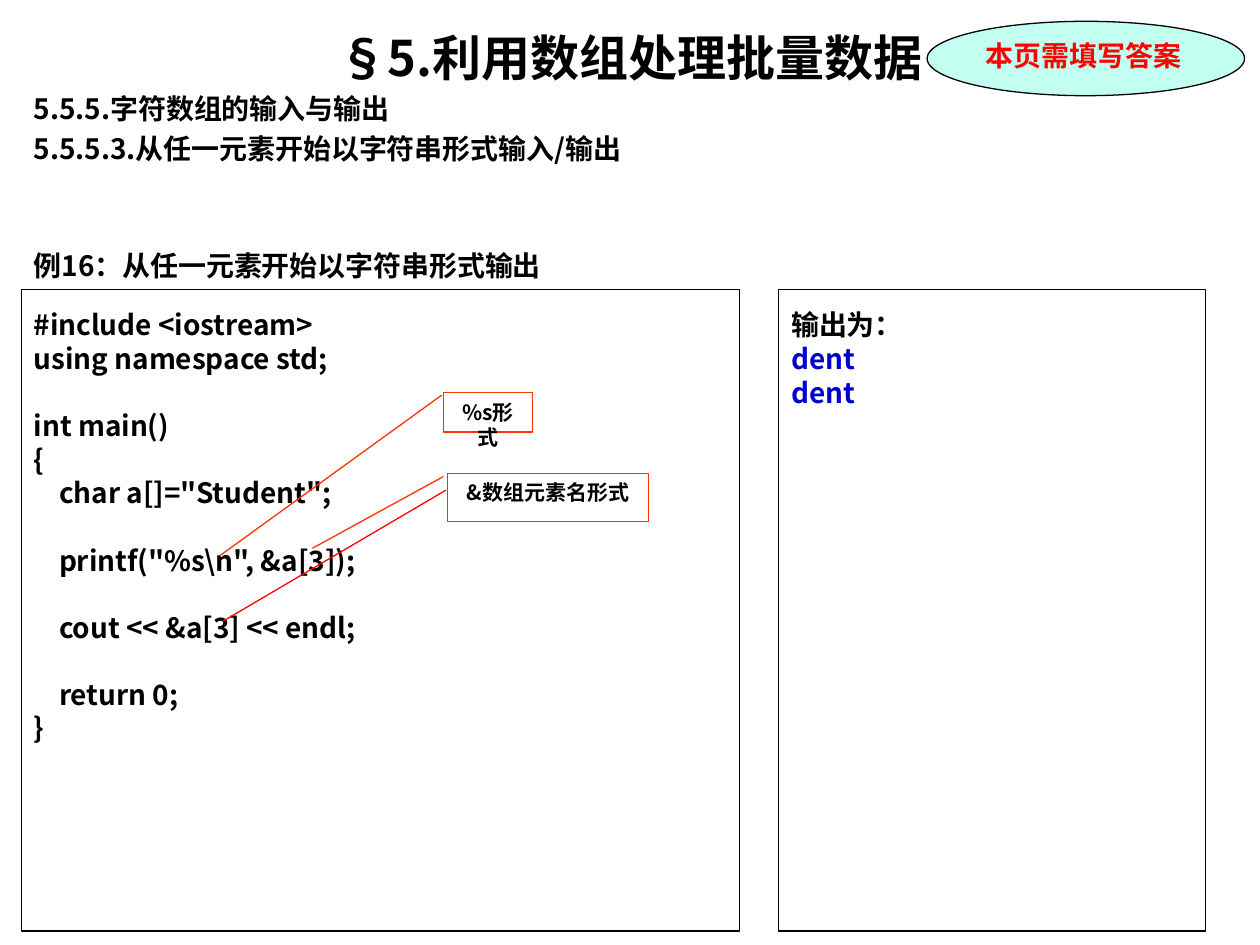
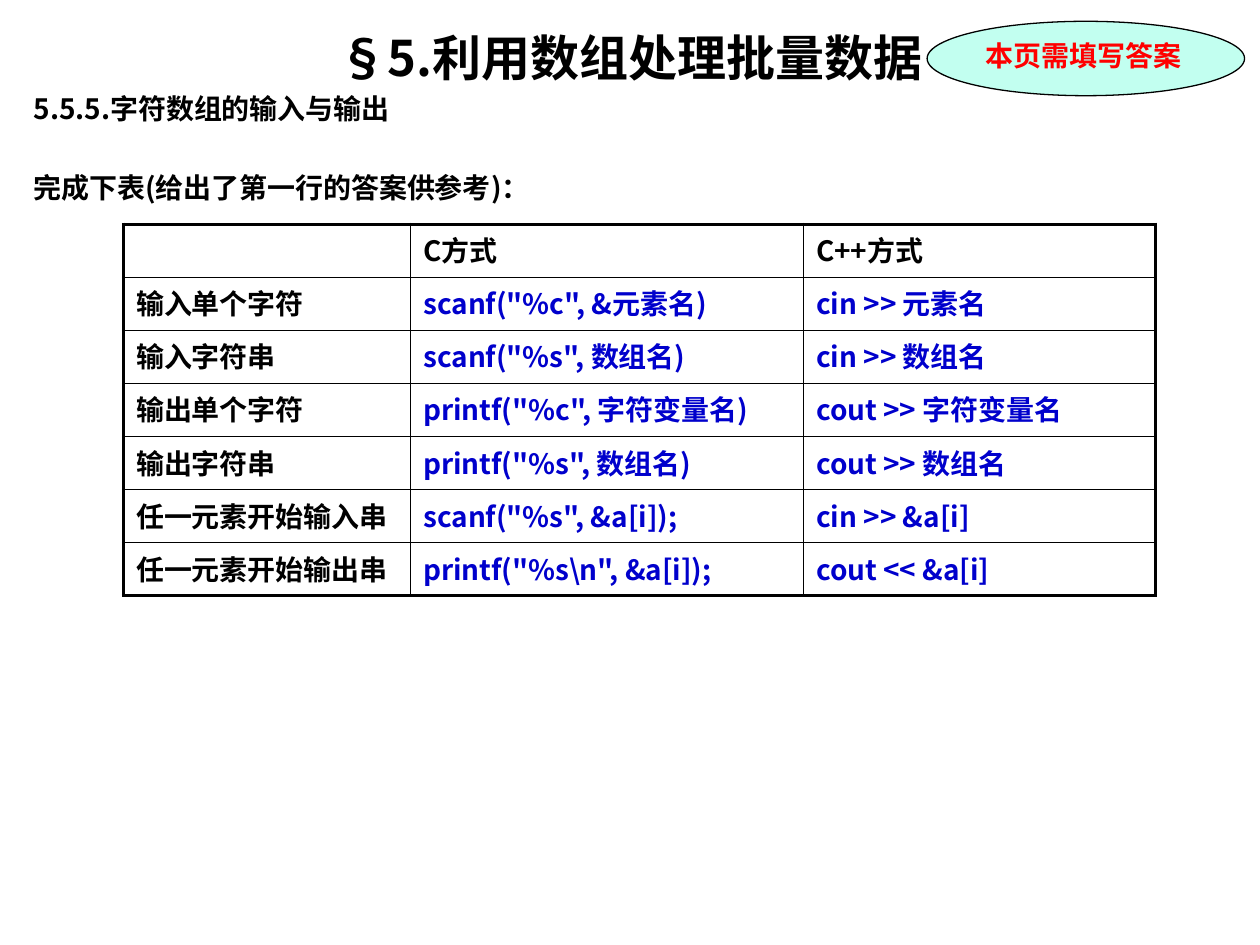
from dataclasses import dataclass
from pptx import Presentation
from pptx.dml.color import RGBColor as RGB
from pptx.enum.shapes import MSO_CONNECTOR as LINE, MSO_SHAPE as SHAPE
from pptx.enum.text import MSO_ANCHOR as ANCHOR, PP_ALIGN as ALIGN
from pptx.oxml.ns import qn
from pptx.oxml.xmlchemy import OxmlElement as Node
from pptx.util import Cm, Pt


@dataclass(frozen=True)
class Theme:
    black: str = "000000"
    white: str = "FFFFFF"
    blue: str = "0000CC"
    red: str = "FF0000"
    orange: str = "FF3300"
    mint: str = "C2FFF0"
    sans: str = "Noto Sans CJK SC"
    serif: str = "Times New Roman"
    title: int = 28
    body: int = 16
    note: int = 12
    pitch: float = 1.2
    lead: float = 3.2
    thin: float = 0.75
    grid: float = 1
    frame: float = 2.25


class Deck:
    def __init__(self, theme):
        self.theme = theme
        self.show = Presentation()
        self.show.slide_width, self.show.slide_height = Cm(25.4), Cm(19.05)
        self.slide = None

    def text(self, frame, lines, size=None, color=None, font=None, align=ALIGN.LEFT, lead=0):
        """Append lines to a frame; an empty line becomes space before the next one."""
        look = self.theme
        size = size or look.body
        pitch = size * look.pitch
        skip = 0
        for line in lines:
            if not line:
                skip += pitch + lead
                continue
            first = not frame.text
            para = frame.paragraphs[0] if first else frame.add_paragraph()
            para.text = line
            self.style(para, size, color or look.black, font or look.sans)
            para.alignment = align
            para.space_before = Pt(0 if first else round(lead + skip, 1))
            skip = 0

    def style(self, para, size, color, font):
        para.line_spacing = Pt(round(size * self.theme.pitch, 1))
        para.font.size, para.font.bold = Pt(size), True
        para.font.color.rgb = RGB.from_string(color)
        para.font.name = font
        east = Node("a:ea")
        east.set("typeface", self.theme.sans)
        para._p.pPr.find(qn("a:defRPr")).append(east)

    def page(self, lines):
        """Start a slide with the shared title and its headings."""
        look = self.theme
        self.slide = self.show.slides.add_slide(self.show.slide_layouts[6])
        box = self.slide.shapes.add_textbox(Cm(0.43), Cm(0.43), Cm(24.56), Cm(18.21))
        frame = box.text_frame
        frame.word_wrap = True
        self.text(frame, ["§5.利用数组处理批量数据"], look.title, align=ALIGN.CENTER)
        self.text(frame, ["5.5.5.字符数组的输入与输出", *lines], align=ALIGN.JUSTIFY, lead=look.lead)

    def badge(self):
        look = self.theme
        oval = self.shape(SHAPE.OVAL, 18.69, 0.43, 6.4, 1.5, look.black, look.mint)
        self.text(oval.text_frame, ["本页需填写答案"], color=look.red, font=look.serif)

    def shape(self, kind, left, top, width, height, edge, fill=None):
        item = self.slide.shapes.add_shape(kind, Cm(left), Cm(top), Cm(width), Cm(height))
        item.shadow.inherit = False
        item.line.color.rgb = RGB.from_string(edge)
        item.line.width = Pt(self.theme.thin)
        if fill:
            item.fill.solid()
            item.fill.fore_color.rgb = RGB.from_string(fill)
        else:
            item.fill.background()
        item.text_frame.word_wrap = True
        item.text_frame.vertical_anchor = ANCHOR.TOP
        return item

    def panel(self, left, width):
        frame = self.shape(SHAPE.RECTANGLE, left, 5.84, width, 12.93, self.theme.black).text_frame
        frame.margin_top = Cm(0.37)
        return frame

    def callout(self, text, left, top, width, height, tail):
        """Draw a note whose tail ends at (down, across), in shares of its size."""
        look = self.theme
        note = self.shape(SHAPE.LINE_CALLOUT_1, left, top, width, height, look.orange)
        for spot, value in enumerate((0.06, -0.02, *tail)):
            note.adjustments[spot] = value
        self.text(note.text_frame, [text], look.note, align=ALIGN.CENTER)

    def line(self, *ends):
        link = self.slide.shapes.add_connector(LINE.STRAIGHT, *map(Cm, ends))
        link.line.color.rgb = RGB.from_string(self.theme.red)
        link.line.width = Pt(self.theme.thin)
        link._element.spPr.append(Node("a:effectLst"))

    def table(self, rows, left, top, widths, height):
        look = self.theme
        grid = self.slide.shapes.add_table(
            len(rows), len(widths), Cm(left), Cm(top), Cm(sum(widths)), Cm(height * len(rows))).table
        grid.first_row = grid.horz_banding = False
        for column, width in zip(grid.columns, widths):
            column.width = Cm(width)
        for y, row in enumerate(rows):
            grid.rows[y].height = Cm(height)
            for x, text in enumerate(row):
                cell = grid.cell(y, x)
                cell.margin_top = Cm(0.24)
                cell.fill.solid()
                cell.fill.fore_color.rgb = RGB.from_string(look.white)
                if text:
                    self.text(cell.text_frame, [text], color=look.blue if x and y else look.black)
                else:
                    self.style(cell.text_frame.paragraphs[0], look.body, look.black, look.sans)
                outer = (x == 0, x == len(widths) - 1, y == 0, y == len(rows) - 1)
                self.border(cell, outer)

    def border(self, cell, outer):
        """Rule the left, right, top and bottom sides, heavier where outer."""
        look = self.theme
        for spot, (side, edge) in enumerate(zip("LRTB", outer)):
            rule, fill, tint = Node(f"a:ln{side}"), Node("a:solidFill"), Node("a:srgbClr")
            rule.set("w", str(Pt(look.frame if edge else look.grid)))
            tint.set("val", look.black)
            fill.append(tint)
            rule.append(fill)
            cell._tc.tcPr.insert(spot, rule)


CODE = r'''#include <iostream>
using namespace std;

int main()
{
    char a[]="Student";

    printf("%s\n", &a[3]);

    cout << &a[3] << endl;

    return 0;
}'''

MODES = [
    ("", "C方式", "C++方式"),
    ("输入单个字符", 'scanf("%c", &元素名)', "cin >> 元素名"),
    ("输入字符串", 'scanf("%s", 数组名)', "cin >> 数组名"),
    ("输出单个字符", 'printf("%c", 字符变量名)', "cout >> 字符变量名"),
    ("输出字符串", 'printf("%s", 数组名)', "cout >> 数组名"),
    ("任一元素开始输入串", 'scanf("%s", &a[i]);', "cin >> &a[i]"),
    ("任一元素开始输出串", r'printf("%s\n", &a[i]);', "cout << &a[i]"),
]


def sample(deck):
    deck.page(["5.5.5.3.从任一元素开始以字符串形式输入/输出", "", "",
               "例16：从任一元素开始以字符串形式输出"])
    deck.text(deck.panel(0.43, 14.48), CODE.split("\n"))
    result = deck.panel(15.7, 8.61)
    deck.text(result, ["输出为："])
    deck.text(result, ["dent", "dent"], color=deck.theme.blue)
    deck.badge()
    deck.callout("%s形式", 8.94, 7.92, 1.8, 0.79, (4.15, -2.5))
    deck.callout("&数组元素名形式", 9.02, 9.55, 4.06, 0.97, (1.55, -0.67))
    deck.line(8.99, 9.88, 4.5, 12.52)


def summary(deck):
    deck.page(["", "完成下表(给出了第一行的答案供参考)："])
    deck.table(MODES, 2.49, 4.52, (5.79, 7.92, 7.09), 1.07)
    deck.badge()


def main():
    deck = Deck(Theme())
    sample(deck)
    summary(deck)
    deck.show.save("out.pptx")


if __name__ == "__main__":
    main()
